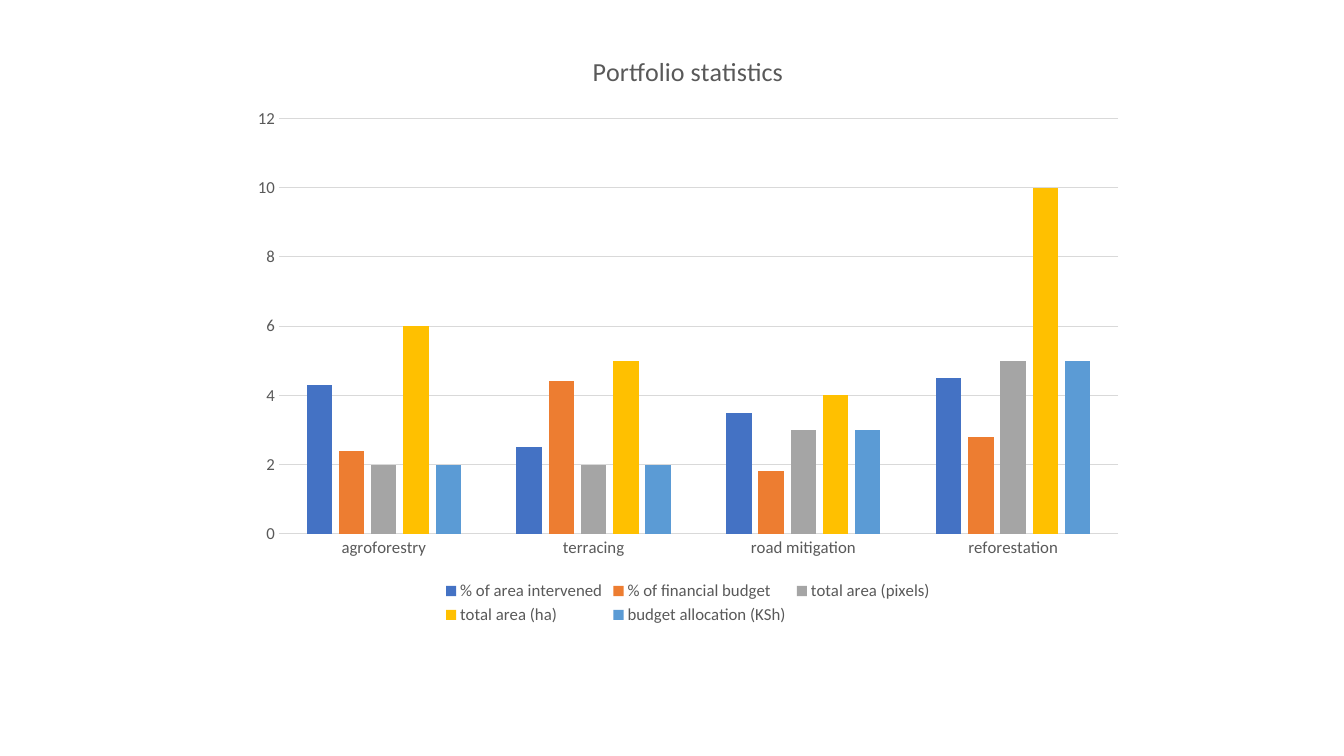
from pptx import Presentation
from pptx import util as u
from pptx.chart import data as chart_data
from pptx.dml import color
from pptx.enum import chart as kinds

EMU_PER_PX = 914400 / 100.8
FONT = "Calibri"
COLORS = {
    "text": "595959",
    "line": "D9D9D9",
    "% of area intervened": "4472C4",
    "% of financial budget": "ED7D31",
    "total area (pixels)": "A5A5A5",
    "total area (ha)": "FFC000",
    "budget allocation (KSh)": "5B9BD5",
}
MEASURES = ["agroforestry", "terracing", "road mitigation", "reforestation"]
STATISTICS = {
    "% of area intervened": (4.3, 2.5, 3.5, 4.5),
    "% of financial budget": (2.4, 4.4, 1.8, 2.8),
    "total area (pixels)": (2, 2, 3, 5),
    "total area (ha)": (6, 5, 4, 10),
    "budget allocation (KSh)": (2, 2, 3, 5),
}


def px(length):
    return u.Emu(round(length * EMU_PER_PX))


def rgb(name):
    return color.RGBColor.from_string(COLORS[name])


def style_font(font, size):
    font.name = FONT
    font.size = u.Pt(size)
    font.bold = False
    font.color.rgb = rgb("text")


def style_line(line):
    line.color.rgb = rgb("line")
    line.width = u.Pt(0.75)


def add_column_chart(page, left, top, width, height):
    data = chart_data.CategoryChartData()
    data.categories = MEASURES
    for name, values in STATISTICS.items():
        data.add_series(name, values)
    frame = page.shapes.add_chart(
        kinds.XL_CHART_TYPE.COLUMN_CLUSTERED,
        px(left), px(top), px(width), px(height), data)
    return frame.chart


def style_columns(chart):
    plot = chart.plots[0]
    plot.gap_width = 219
    plot.overlap = -27
    plot.vary_by_categories = False
    for series in plot.series:
        series.format.fill.solid()
        series.format.fill.fore_color.rgb = rgb(series.name)


def style_axes(chart):
    for axis in (chart.category_axis, chart.value_axis):
        axis.major_tick_mark = kinds.XL_TICK_MARK.NONE
        axis.minor_tick_mark = kinds.XL_TICK_MARK.NONE
        style_font(axis.tick_labels.font, 12)
    style_line(chart.category_axis.format.line)
    values = chart.value_axis
    values.format.line.fill.background()
    values.minimum_scale, values.maximum_scale = 0, 12
    values.major_unit = 2
    values.has_major_gridlines = True
    style_line(values.major_gridlines.format.line)


def add_title(chart, wording):
    chart.has_title = True
    chart.chart_title.include_in_layout = False
    para = chart.chart_title.text_frame.paragraphs[0]
    para.text = wording
    style_font(para.font, 18.6)


def add_legend(chart):
    chart.has_legend = True
    chart.legend.position = kinds.XL_LEGEND_POSITION.BOTTOM
    chart.legend.include_in_layout = False
    style_font(chart.legend.font, 12)


def main():
    deck = Presentation()
    deck.slide_width, deck.slide_height = px(1344), px(756)
    page = deck.slides.add_slide(deck.slide_layouts[6])

    # Portfolio chart
    chart = add_column_chart(page, 240, 31, 896, 598)
    style_font(chart.font, 10)
    style_columns(chart)
    style_axes(chart)

    # Title and legend
    add_title(chart, "Portfolio statistics")
    add_legend(chart)

    deck.save("out.pptx")


if __name__ == "__main__":
    main()
